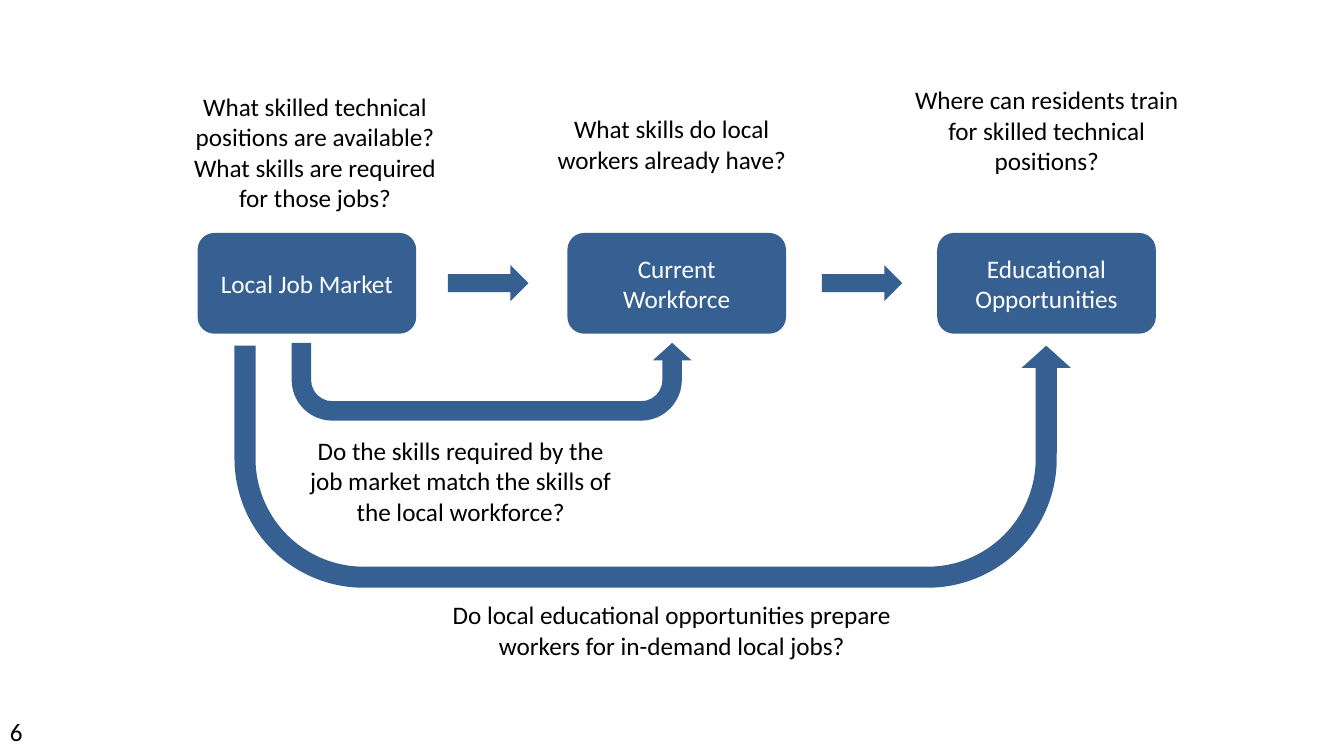
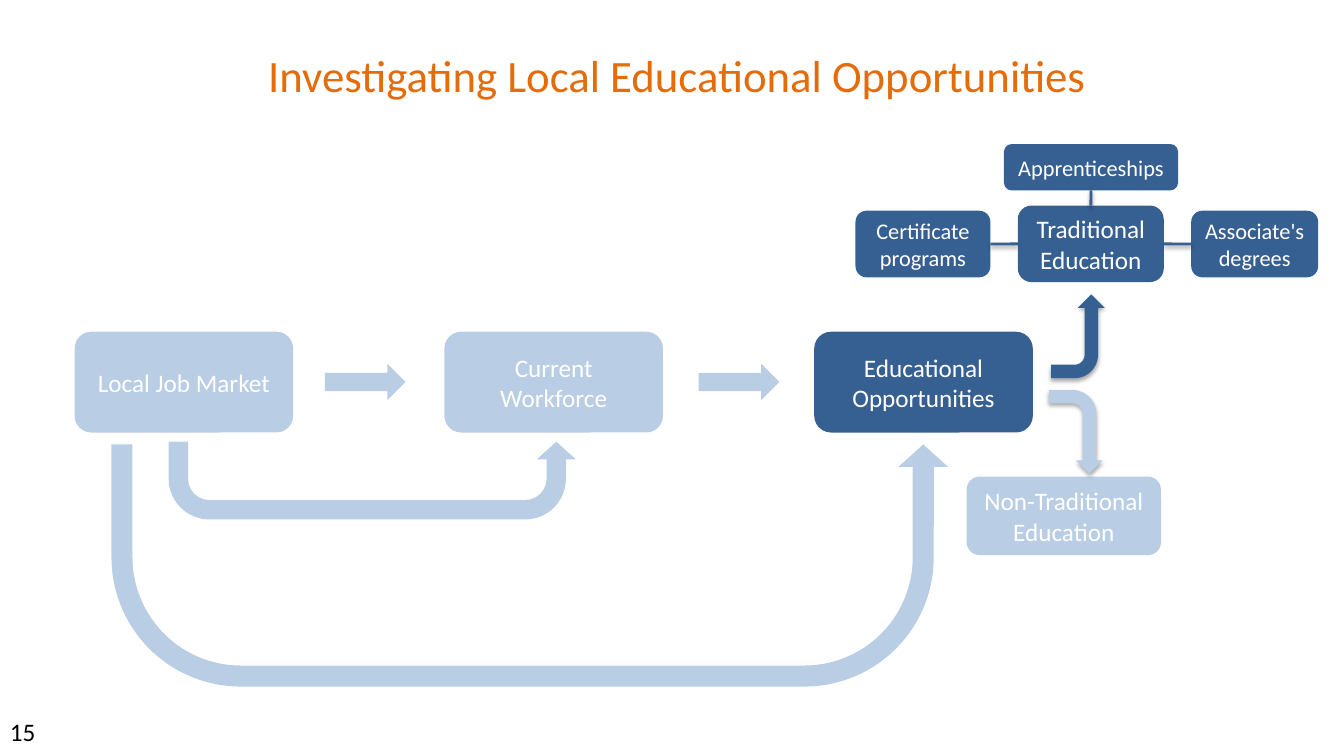
"""Build two slides on the links between local jobs, skills and education."""

from dataclasses import dataclass, replace
from typing import Any

import lxml.etree
import pptx
import pptx.dml.color
import pptx.enum.shapes
import pptx.enum.text
import pptx.oxml.ns
import pptx.presentation
import pptx.shapes.autoshape
import pptx.slide
import pptx.util

Cm = pptx.util.Cm
Pt = pptx.util.Pt
Kind = pptx.enum.shapes.MSO_SHAPE
Align = pptx.enum.text.PP_ALIGN

COLOURS = {
    "active": "376092",
    "faded": "B9CDE5",
    "title": "E46C0A",
    "text": "000000",
    "on_box": "FFFFFF",
    "shadow": "000000",
}
FONT = {"name": "Calibri", "size": Pt(18)}
TITLE_FONT = FONT | {"size": Pt(32)}
SMALL_FONT = FONT | {"size": Pt(16)}
SLIDE_WIDTH, SLIDE_HEIGHT = 33.87, 19.05

STAGES = ("Local Job Market", "Current Workforce", "Educational Opportunities")
STAGE_WIDTH, STAGE_HEIGHT, STAGE_STEP = 5.51, 2.54, 9.32
ARROW_STEP = 9.42
TOP, LEFT, BOTTOM, RIGHT = range(4)


@dataclass(frozen=True)
class Frame:
    left: float
    top: float
    width: float
    height: float

    def lengths(self) -> list[pptx.util.Length]:
        return [Cm(value) for value in (self.left, self.top, self.width, self.height)]


@dataclass(frozen=True)
class Arrow:
    kind: Kind
    frame: Frame
    rotation: float
    adjustments: tuple[float, ...] = ()
    flip: str = ""
    shadow: bool = False


@dataclass(frozen=True)
class Label:
    text: str
    frame: Frame
    format: dict[str, Any]
    colour: str = "text"
    alignment: Align = Align.CENTER
    grow: bool = True


@dataclass(frozen=True)
class Box:
    text: str
    frame: Frame
    colour: str = "active"
    format: dict[str, Any] | None = None


QUESTIONS = (
    Label(
        "What skilled technical positions are available? "
        "What skills are required for those jobs?",
        Frame(4.27, 2.18, 7.34, 3.33), FONT,
    ),
    Label(
        "What skills do local workers already have?",
        Frame(13.26, 2.74, 7.34, 1.8), FONT,
    ),
    Label(
        "Where can residents train for skilled technical positions?",
        Frame(22.71, 2.01, 7.34, 2.57), FONT,
    ),
    Label(
        "Do the skills required by the job market match the skills "
        "of the local workforce?",
        Frame(7.52, 10.85, 8.18, 2.57), FONT,
    ),
    Label(
        "Do local educational opportunities prepare workers "
        "for in-demand local jobs?",
        Frame(10.21, 14.99, 13.44, 1.8), FONT,
    ),
)

TRADITIONAL = Box("Traditional Education", Frame(25.65, 5.18, 3.68, 1.93))
NON_TRADITIONAL = Box(
    "Non-Traditional Education", Frame(24.36, 12.01, 4.9, 1.98), "faded"
)
PROGRAMS = (
    (Box("Apprenticeships", Frame(25.3, 3.63, 4.39, 1.17), format=SMALL_FONT),
     TOP, BOTTOM),
    (Box("Associate's degrees", Frame(30.02, 5.31, 3.2, 1.68), format=SMALL_FONT),
     RIGHT, LEFT),
    (Box("Certificate programs", Frame(21.56, 5.31, 3.4, 1.68), format=SMALL_FONT),
     LEFT, RIGHT),
)


def rgb(colour: str) -> pptx.dml.color.RGBColor:
    return pptx.dml.color.RGBColor.from_string(COLOURS[colour])


def write_text(
    shape: pptx.shapes.autoshape.Shape,
    text: str,
    format_values: dict[str, Any],
    colour: str,
    alignment: Align = Align.CENTER,
) -> None:
    shape.text_frame.word_wrap = True
    paragraph = shape.text_frame.paragraphs[0]
    paragraph.alignment = alignment
    run = paragraph.add_run()
    run.text = text
    for name, value in format_values.items():
        setattr(run.font, name, value)
    run.font.color.rgb = rgb(colour)


def add_shadow(
    effects: lxml.etree.ElementBase, distance: int, opacity: int
) -> None:
    qualify = pptx.oxml.ns.qn
    shadow = lxml.etree.SubElement(
        effects, qualify("a:outerShdw"), blurRad="40000", dist=str(distance),
        dir="5400000", rotWithShape="0",
    )
    colour = lxml.etree.SubElement(
        shadow, qualify("a:srgbClr"), val=COLOURS["shadow"]
    )
    lxml.etree.SubElement(colour, qualify("a:alpha"), val=str(opacity * 1000))


def add_plain_shape(
    slide: pptx.slide.Slide, kind: Kind, frame: Frame, colour: str
) -> pptx.shapes.autoshape.Shape:
    shape = slide.shapes.add_shape(kind, *frame.lengths())
    shape.fill.solid()
    shape.fill.fore_color.rgb = rgb(colour)
    shape.line.fill.background()
    shape.shadow.inherit = False
    return shape


def add_box(slide: pptx.slide.Slide, box: Box) -> pptx.shapes.autoshape.Shape:
    shape = add_plain_shape(slide, Kind.ROUNDED_RECTANGLE, box.frame, box.colour)
    shape.text_frame.vertical_anchor = pptx.enum.text.MSO_ANCHOR.MIDDLE
    write_text(shape, box.text, box.format or FONT, "on_box")
    return shape


def add_arrow(slide: pptx.slide.Slide, arrow: Arrow, colour: str) -> None:
    shape = add_plain_shape(slide, arrow.kind, arrow.frame, colour)
    shape.rotation = arrow.rotation
    for index, value in enumerate(arrow.adjustments):
        shape.adjustments[index] = value
    properties = shape._element.spPr
    if arrow.flip:
        properties.find(pptx.oxml.ns.qn("a:xfrm")).set(arrow.flip, "1")
    if arrow.shadow:
        add_shadow(properties.find(pptx.oxml.ns.qn("a:effectLst")), 23000, 35)


def add_label(slide: pptx.slide.Slide, label: Label) -> None:
    shape = slide.shapes.add_textbox(*label.frame.lengths())
    write_text(shape, label.text, label.format, label.colour, label.alignment)
    if label.grow:
        shape.text_frame.auto_size = pptx.enum.text.MSO_AUTO_SIZE.SHAPE_TO_FIT_TEXT


def add_link(
    slide: pptx.slide.Slide,
    start: pptx.shapes.autoshape.Shape,
    start_site: int,
    end: pptx.shapes.autoshape.Shape,
    end_site: int,
) -> None:
    connector = slide.shapes.add_connector(
        pptx.enum.shapes.MSO_CONNECTOR.STRAIGHT, Cm(0), Cm(0), Cm(0), Cm(0)
    )
    connector.begin_connect(start, start_site)
    connector.end_connect(end, end_site)
    connector.line.color.rgb = rgb("active")
    connector.line.width = Pt(2)
    effects = lxml.etree.SubElement(
        connector._element.spPr, pptx.oxml.ns.qn("a:effectLst")
    )
    add_shadow(effects, 20000, 38)


def add_flow(
    slide: pptx.slide.Slide,
    left: float,
    top: float,
    inner_width: float,
    path_colour: str,
) -> None:
    uturn = Arrow(
        Kind.U_TURN_ARROW, Frame(left + 2.37, top + 2.77, inner_width, 1.96), 180,
        (0.25, 0.25, 0.226, 0.524, 1), "flipH",
    )
    outer_uturn = replace(
        uturn, frame=Frame(left + 0.93, top + 2.84, 21.08, 6.1),
        adjustments=(0.087, 0.102, 0.092, 0.534, 1),
    )
    steps = [
        Arrow(
            Kind.DOWN_ARROW,
            Frame(left + 6.87 + index * ARROW_STEP, top + 0.25, 0.91, 2.03), 270,
        )
        for index in range(len(STAGES) - 1)
    ]
    for arrow in (uturn, *steps, outer_uturn):
        add_arrow(slide, arrow, path_colour)
    for index, stage in enumerate(STAGES):
        frame = Frame(left + index * STAGE_STEP, top, STAGE_WIDTH, STAGE_HEIGHT)
        colour = "active" if stage == STAGES[-1] else path_colour
        add_box(slide, Box(stage, frame, colour))


def add_numbered_slide(
    presentation: pptx.presentation.Presentation, number: int, title: str = ""
) -> pptx.slide.Slide:
    slide = presentation.slides.add_slide(presentation.slide_layouts[6])
    add_label(slide, Label(
        str(number), Frame(0, 17.93, 7.9, 1.02), FONT,
        alignment=Align.LEFT, grow=False,
    ))
    if title:
        add_label(slide, Label(
            title, Frame(0.13, 1.07, SLIDE_WIDTH, 1.93), TITLE_FONT, "title",
            grow=False,
        ))
    return slide


def build_questions(presentation: pptx.presentation.Presentation) -> None:
    slide = add_numbered_slide(presentation, 6)
    add_flow(slide, 4.98, 5.87, 10.08, "active")
    for question in QUESTIONS:
        add_label(slide, question)


def build_opportunities(presentation: pptx.presentation.Presentation) -> None:
    slide = add_numbered_slide(
        presentation, 15, "Investigating Local Educational Opportunities"
    )
    add_flow(slide, 1.88, 8.36, 10.26, "faded")
    traditional = add_box(slide, TRADITIONAL)
    traditional.adjustments[0] = 0.18
    for program, hub_site, program_site in PROGRAMS:
        add_link(slide, traditional, hub_site, add_box(slide, program), program_site)
    add_box(slide, NON_TRADITIONAL)
    upward = Arrow(
        Kind.BENT_ARROW, Frame(26.11, 7.8, 2.11, 1.35), 270, flip="flipV", shadow=True
    )
    downward = replace(
        upward, frame=Frame(26.06, 10.21, 2.11, 1.35), rotation=90, flip=""
    )
    add_arrow(slide, upward, "active")
    add_arrow(slide, downward, "faded")


def main() -> None:
    presentation = pptx.Presentation()
    presentation.slide_width = Cm(SLIDE_WIDTH)
    presentation.slide_height = Cm(SLIDE_HEIGHT)
    build_questions(presentation)
    build_opportunities(presentation)
    presentation.save("out.pptx")


if __name__ == "__main__":
    main()
